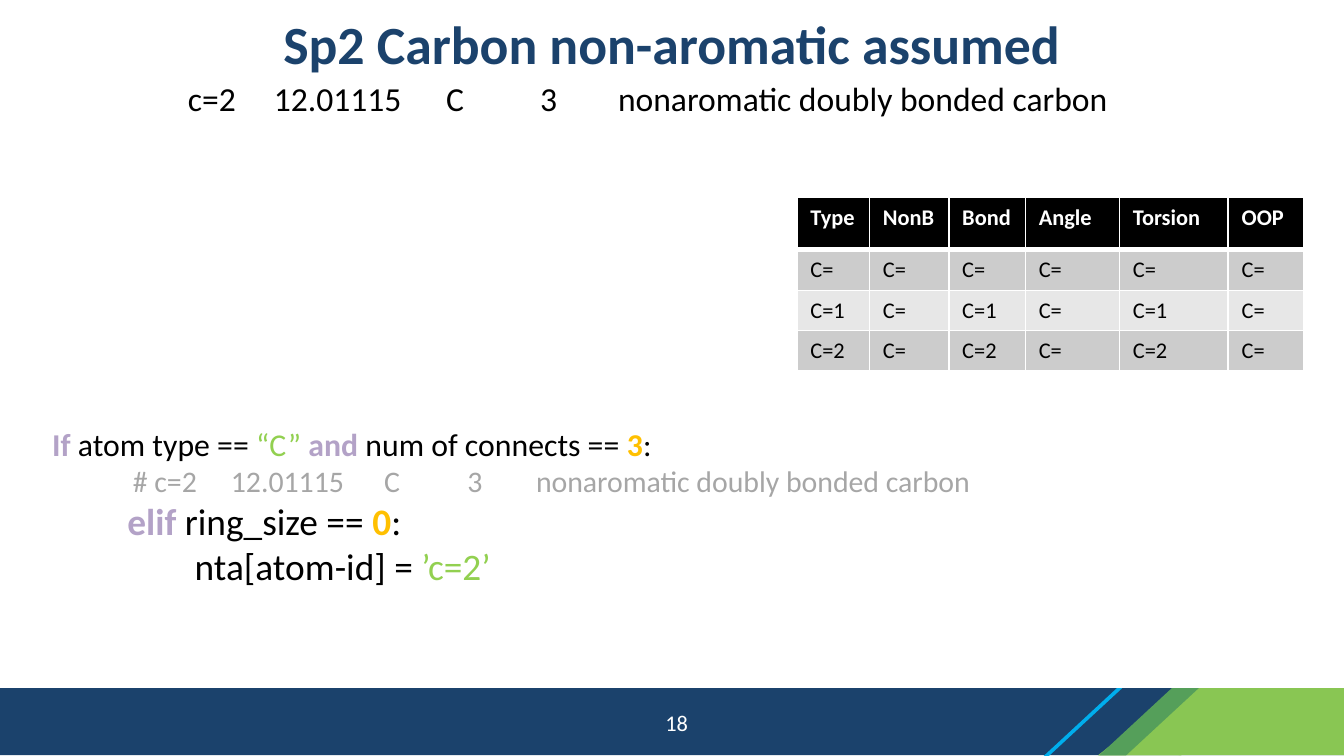
"""Builds the slide on the nonaromatic sp2 carbon atom type."""
from lxml import etree
from pptx import Presentation
from pptx.dml.color import RGBColor
from pptx.enum.shapes import MSO_SHAPE
from pptx.enum.text import MSO_ANCHOR, PP_ALIGN
from pptx.oxml.ns import qn
from pptx.util import Inches, Pt

RECT, TRIANGLE, SLANT = MSO_SHAPE.RECTANGLE, MSO_SHAPE.RIGHT_TRIANGLE, MSO_SHAPE.PARALLELOGRAM
CENTER, LEFT = PP_ALIGN.CENTER, PP_ALIGN.LEFT
MIDDLE, TOP = MSO_ANCHOR.MIDDLE, MSO_ANCHOR.TOP
FONT = "Calibri"
COLORS = {
    "navy": "1B426C", "lime": "89C653", "green": "559F5A", "cyan": "00AEED",
    "white": "FFFFFF", "black": "000000", "keyword": "B3A2C7", "string": "92D050",
    "number": "FFC000", "comment": "A6A6A6", "dark_row": "CCCCCC", "light_row": "E7E7E7",
}
BOLD_COLORS = ("keyword", "number")

FOOTER = [
    (RECT, (0, 5.12, 10, 0.5), "navy"),
    (TRIANGLE, (8.17, 5.13, 0.62, 0.49), "lime"),
    (RECT, (8.77, 5.12, 1.23, 0.5), "lime"),
    (SLANT, (8.18, 5.12, 0.74, 0.5), "green"),
    (SLANT, (7.76, 5.12, 0.59, 0.51), "cyan"),
]
TITLE = "Sp2 Carbon non-aromatic assumed"
PAGE = "18"
ATOM = "c=2\t12.01115\tC\t3\tnonaromatic doubly bonded carbon"
ATOM_TABS = (0.64, 1.92, 2.62, 3.2)
CODE = [
    (17, (), [("If ", "keyword"), ("atom type == ", "black"), ("“C” ", "string"),
              ("and", "keyword"), (" num of connects == ", "black"), ("3", "number"),
              (":", "black")]),
    (16, (0.6, 1.33, 2.47, 3.09, 3.6), [("\t# " + ATOM, "comment")]),
    (20, (0.56,), [("\t", "black"), ("elif ", "keyword"), ("ring_size == ", "black"),
                   ("0", "number"), (":", "black")]),
    (20, (1.06,), [("\tnta[atom-id] = ", "black"), ("’c=2’", "string")]),
]
TABLE = [
    ("Type", "NonB", "Bond", "Angle", "Torsion", "OOP"),
    ("C=", "C=", "C=", "C=", "C=", "C="),
    ("C=1", "C=", "C=1", "C=", "C=1", "C="),
    ("C=2", "C=", "C=2", "C=", "C=2", "C="),
]
COL_WIDTHS = (0.54, 0.59, 0.57, 0.7, 0.81, 0.56)
ROW_HEIGHTS = (0.39, 0.3, 0.3, 0.3)
ROW_FILLS = ("black", "dark_row", "light_row", "dark_row")


def rgb(name):
    return RGBColor.from_string(COLORS[name])


def style(r, size, color, bold):
    r.font.name, r.font.size, r.font.bold = FONT, Pt(size), bold
    r.font.color.rgb = rgb(color)


def add_text(s, box, lines, align=LEFT, anchor=TOP, bold=False):
    tf = s.shapes.add_textbox(*map(Inches, box)).text_frame
    tf.word_wrap, tf.vertical_anchor = True, anchor
    for i, (size, tabs, runs) in enumerate(lines):
        p = tf.add_paragraph() if i else tf.paragraphs[0]
        p.alignment = align
        if tabs:
            tab_list = etree.SubElement(p._p.get_or_add_pPr(), qn("a:tabLst"))
            for pos in tabs:
                etree.SubElement(tab_list, qn("a:tab"), pos=str(Inches(pos)), algn="l")
        for text, color in runs:
            r = p.add_run()
            r.text = text
            style(r, size, color, bold or color in BOLD_COLORS)


def add_footer(s):
    for kind, box, color in FOOTER:
        sp = s.shapes.add_shape(kind, *map(Inches, box))
        sp.shadow.inherit = False
        sp.fill.solid()
        sp.fill.fore_color.rgb = rgb(color)
        sp.line.fill.background()
        if kind == SLANT:
            sp.adjustments[0] = 1.08
        elif kind == TRIANGLE:
            sp._element.spPr.find(qn("a:xfrm")).set("flipH", "1")


def set_borders(cell, top, bottom):
    tc_pr = cell._tc.get_or_add_tcPr()
    for i, (side, width) in enumerate((("L", 1), ("R", 1), ("T", top), ("B", bottom))):
        ln = etree.Element(qn("a:ln" + side), w=str(Pt(width)))
        fill = etree.SubElement(ln, qn("a:solidFill"))
        etree.SubElement(fill, qn("a:srgbClr"), val=COLORS["white"])
        tc_pr.insert(i, ln)


def add_types_table(s, left, top):
    size = sum(COL_WIDTHS), sum(ROW_HEIGHTS)
    table = s.shapes.add_table(len(TABLE), len(COL_WIDTHS),
                               *map(Inches, (left, top, *size))).table
    for col, width in zip(table.columns, COL_WIDTHS):
        col.width = Inches(width)
    for i, (row, height) in enumerate(zip(table.rows, ROW_HEIGHTS)):
        row.height = Inches(height)
        header = i == 0
        for cell, text in zip(row.cells, TABLE[i]):
            cell.fill.solid()
            cell.fill.fore_color.rgb = rgb(ROW_FILLS[i])
            cell.text_frame.text = text
            style(cell.text_frame.paragraphs[0].runs[0], 12,
                  "white" if header else "black", header)
            set_borders(cell, 3 if i == 1 else 1, 3 if header else 1)


def main():
    prs = Presentation()
    prs.slide_width = Inches(10)
    prs.slide_height = prs.slide_width * 9 // 16
    s = prs.slides.add_slide(prs.slide_layouts[6])
    add_footer(s)
    add_text(s, (0, 0.01, 10, 0.62), [(28.8, (), [(TITLE, "navy")])], CENTER, MIDDLE, True)
    add_text(s, (3.87, 5.23, 2.33, 0.3), [(12, (), [(PAGE, "white")])], CENTER, MIDDLE)
    add_text(s, (1.3, 0.53, 8.99, 0.4), [(18, ATOM_TABS, [(ATOM, "black")])])
    add_text(s, (0.29, 3.11, 9.34, 1.33), CODE)
    add_types_table(s, 5.93, 1.47)
    prs.save("out.pptx")


if __name__ == "__main__":
    main()
